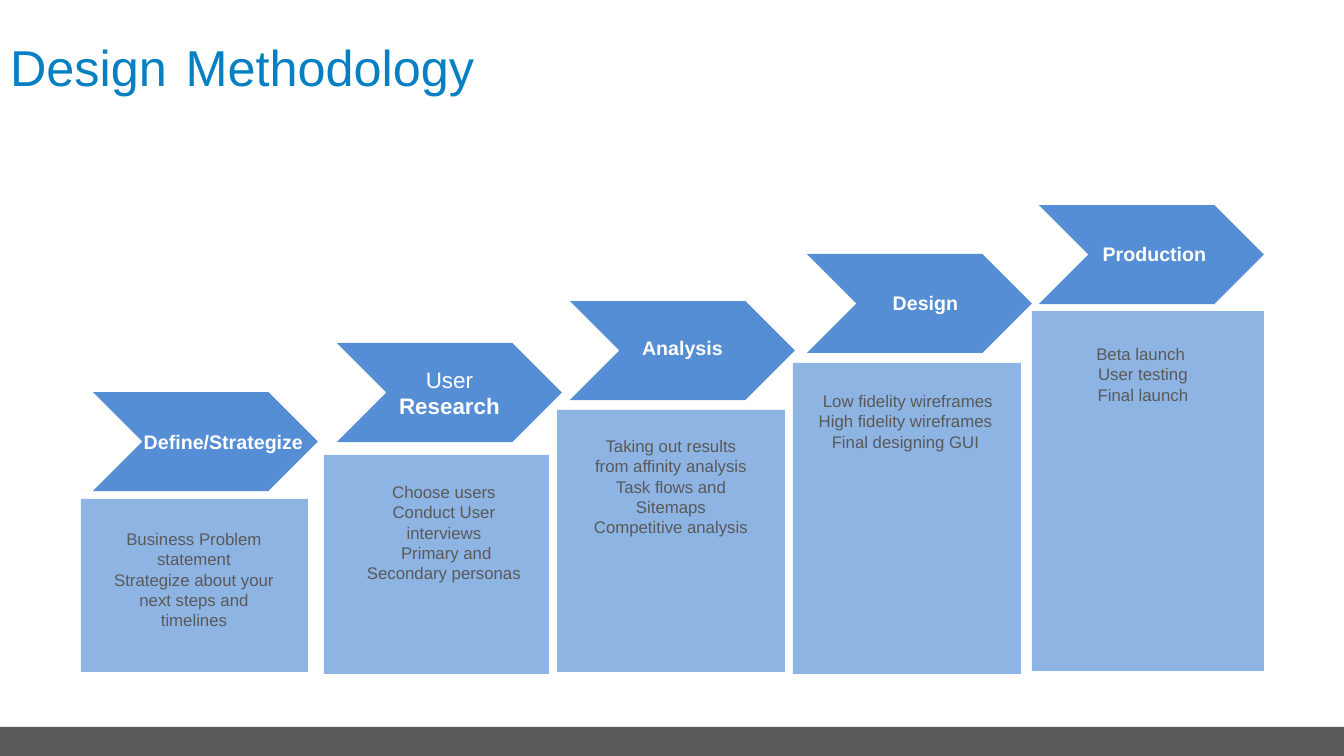
from pptx import Presentation
from pptx.dml.color import RGBColor
from pptx.enum.shapes import MSO_SHAPE as SHAPE
from pptx.enum.text import MSO_ANCHOR as ANCHOR, MSO_AUTO_SIZE as AUTO, PP_ALIGN as ALIGN
from pptx.util import Pt

PX = 914400 / 100.8
COLORS = {"title": "0680C3", "text": "595959", "bar": "595959",
          "chevron": "558ED5", "panel": "8EB4E3", "label": "FFFFFF"}
CHEVRON_W, CHEVRON_H = 225, 99

prs = Presentation()
prs.slide_width, prs.slide_height = round(1344 * PX), round(756 * PX)
s = prs.slides.add_slide(prs.slide_layouts[5])


def add_box(kind, box, color=None):
    box = [round(v * PX) for v in box]
    if kind is None:
        sp = s.shapes.add_textbox(*box)
        sp.text_frame.auto_size = AUTO.SHAPE_TO_FIT_TEXT
    else:
        sp = s.shapes.add_shape(kind, *box)
        sp.shadow.inherit = False
        sp.fill.solid()
        sp.fill.fore_color.rgb = RGBColor.from_string(COLORS[color])
        sp.line.fill.background()
    sp.text_frame.word_wrap = True
    return sp


def add_run(p, text, size, color, bold=False):
    r = p.add_run()
    r.text = text
    r.font.name = "Arial"
    r.font.size = Pt(size)
    r.font.bold = bold
    r.font.color.rgb = RGBColor.from_string(COLORS[color])


add_box(SHAPE.RECTANGLE, (0, 727, 1344, 29), "bar")

title = s.shapes.title
title.left, title.top, title.width, title.height = [round(v * PX) for v in (0, 22, 1344, 86)]
tf = title.text_frame
tf.auto_size = AUTO.NONE
tf.vertical_anchor = ANCHOR.MIDDLE
p = tf.paragraphs[0]
p.alignment = ALIGN.LEFT
p.line_spacing = 0.9
add_run(p, "Design", 36, "title")
add_run(p, " ", 48, "text", True)
add_run(p, "Methodology", 36, "title")

steps = [
    ("Define/Strategize", (93, 392), (130, 425, 187, 34),
     (81, 499, 227, 173), (100, 524, 188, 112),
     ["Business Problem statement", "Strategize about your next steps and timelines"]),
    ("User Research", (337, 343), None,
     (324, 455, 225, 219), (350, 477, 188, 132),
     ["Choose users", "Conduct User interviews", " Primary and Secondary personas"]),
    ("Analysis", (570, 301), (627, 331, 111, 34),
     (557, 410, 228, 262), (577, 431, 188, 132),
     ["Taking out results from affinity analysis Task flows and Sitemaps",
      "Competitive analysis"]),
    ("Design", (807, 254), (870, 286, 111, 34),
     (793, 363, 228, 311), (799, 386, 213, 72),
     [" Low fidelity wireframes", "High fidelity wireframes", "Final designing GUI"]),
    ("Production", (1039, 205), (1088, 237, 133, 34),
     (1032, 311, 232, 360), (1049, 339, 188, 72),
     ["Beta launch ", "User testing", "Final launch"]),
]

for name, corner, label_box, panel_box, notes_box, notes in steps:
    add_box(SHAPE.RECTANGLE, panel_box, "panel")
    chevron = add_box(SHAPE.CHEVRON, (*corner, CHEVRON_W, CHEVRON_H), "chevron")
    if label_box:
        p = add_box(None, label_box).text_frame.paragraphs[0]
        add_run(p, name, 14, "label", True)
    else:
        chevron.text_frame.vertical_anchor = ANCHOR.MIDDLE
        p = chevron.text_frame.paragraphs[0]
        first, second = name.split()
        add_run(p, first + " ", 16, "label")
        add_run(p, second, 16, "label", True)
    p.alignment = ALIGN.CENTER

    tf = add_box(None, notes_box).text_frame
    for i, note in enumerate(notes):
        p = tf.add_paragraph() if i else tf.paragraphs[0]
        p.alignment = ALIGN.CENTER
        add_run(p, note, 12, "text")

prs.save("out.pptx")
